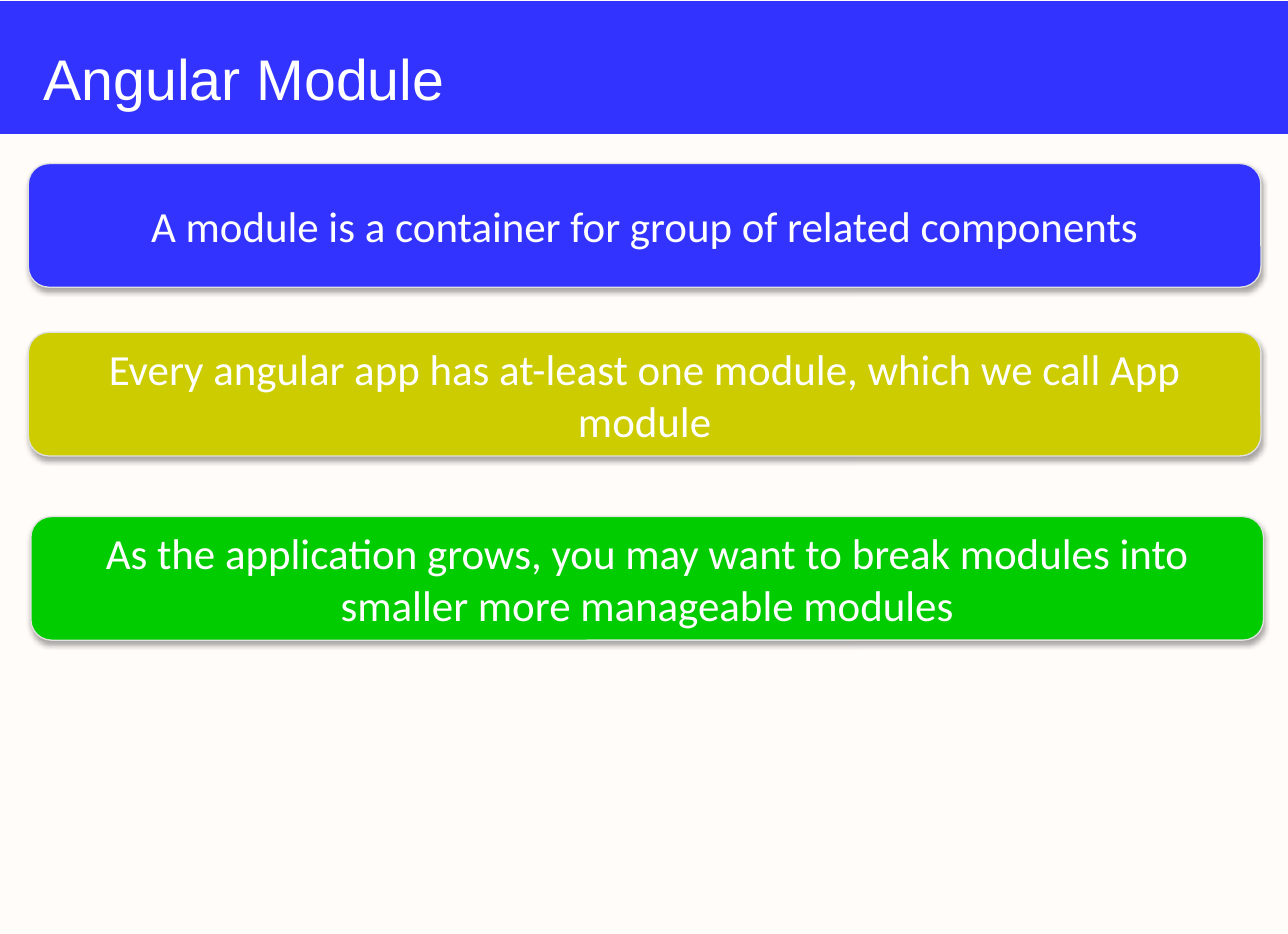
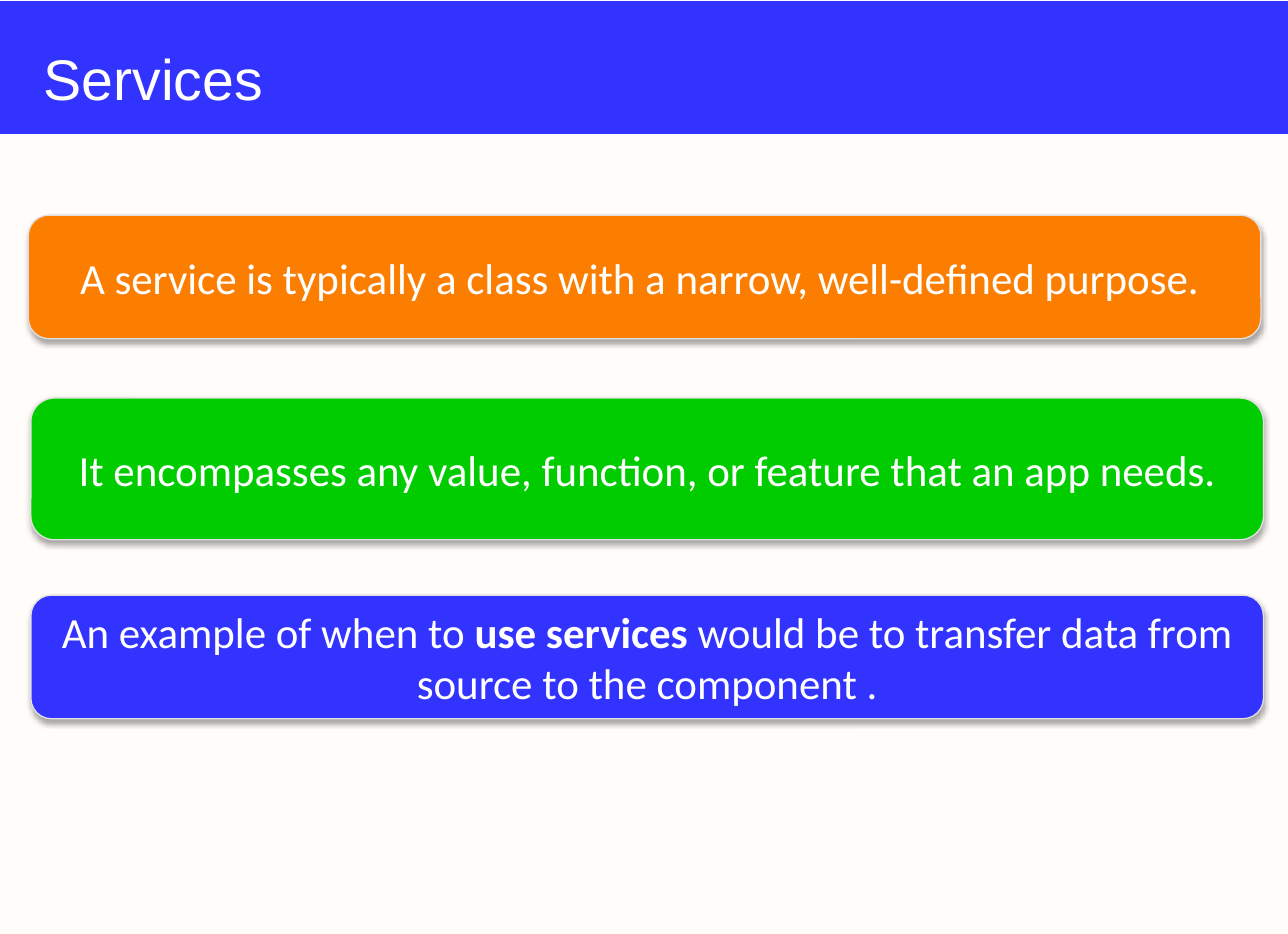
import pptx
import pptx.dml.color
import pptx.enum.shapes
import pptx.enum.text
import pptx.oxml
import pptx.oxml.ns
import pptx.util

Inches = pptx.util.Inches
Pt = pptx.util.Pt
RGBColor = pptx.dml.color.RGBColor
MSO_SHAPE = pptx.enum.shapes.MSO_SHAPE
PP_ALIGN = pptx.enum.text.PP_ALIGN
MSO_ANCHOR = pptx.enum.text.MSO_ANCHOR

CREAM = RGBColor(0xFF, 0xFC, 0xF9)
BLUE = RGBColor(0x33, 0x33, 0xFF)
OLIVE = RGBColor(0xCC, 0xCC, 0x00)
GREEN = RGBColor(0x00, 0xCC, 0x00)
ORANGE = RGBColor(0xFC, 0x7E, 0x00)
PALE_GREY = RGBColor(0xE1, 0xE1, 0xE1)
WHITE = RGBColor(0xFF, 0xFF, 0xFF)

SLIDE_WIDTH, SLIDE_HEIGHT = 10, 7.25
CARD_WIDTH, CARD_HEIGHT = 9.57, 0.96
LEFT, INDENTED_LEFT = 0.22, 0.24

CARD_SHADOW = (
    f'<a:effectLst {pptx.oxml.ns.nsdecls("a")}>'
    '<a:outerShdw blurRad="40000" dist="23000" dir="5400000" rotWithShape="0">'
    '<a:srgbClr val="000000"><a:alpha val="35000"/></a:srgbClr>'
    '</a:outerShdw></a:effectLst>'
)


def write_text(frame, runs, font, size, align=PP_ALIGN.LEFT, anchor=MSO_ANCHOR.MIDDLE):
    """Fill a text frame with one paragraph of (text, bold) runs."""
    frame.word_wrap = True
    frame.vertical_anchor = anchor
    paragraph = frame.paragraphs[0]
    paragraph.alignment = align
    for text, bold in runs:
        run = paragraph.add_run()
        run.text = text
        run.font.name = font
        run.font.size = Pt(size)
        run.font.bold = bold
        run.font.color.rgb = WHITE


def add_panel(slide, preset, box, color):
    panel = slide.shapes.add_shape(preset, *map(Inches, box))
    panel.shadow.inherit = False
    panel.fill.solid()
    panel.fill.fore_color.rgb = color
    return panel


def add_title_band(slide, title, box):
    left, top, width, height = box
    band = add_panel(slide, MSO_SHAPE.RECTANGLE, box, BLUE)
    band.line.fill.background()
    heading = slide.shapes.add_textbox(
        Inches(left + 0.24), Inches(top + 0.26), Inches(width - 0.43), Inches(height - 0.43))
    heading.text_frame.margin_top = heading.text_frame.margin_bottom = 0
    write_text(heading.text_frame, [(title, False)], "Arial", 32, anchor=MSO_ANCHOR.BOTTOM)


def add_card(slide, runs, color, box):
    card = add_panel(slide, MSO_SHAPE.ROUNDED_RECTANGLE, box, color)
    card.line.color.rgb = PALE_GREY
    card.line.width = Pt(0.75)
    properties = card._element.spPr
    properties.remove(properties.find(pptx.oxml.ns.qn("a:effectLst")))
    properties.append(pptx.oxml.parse_xml(CARD_SHADOW))
    write_text(card.text_frame, runs, "Calibri", 24, align=PP_ALIGN.CENTER)


def add_card_slide(deck, title, cards):
    """Add a titled slide; each card is (left, top, height, color, runs)."""
    slide = deck.slides.add_slide(deck.slide_layouts[6])
    slide.background.fill.solid()
    slide.background.fill.fore_color.rgb = CREAM
    add_title_band(slide, title, (0, 0.01, SLIDE_WIDTH, 1.03))
    for left, top, height, color, runs in cards:
        add_card(slide, runs, color, (left, top, CARD_WIDTH, height))


def main():
    deck = pptx.Presentation()
    deck.slide_width = Inches(SLIDE_WIDTH)
    deck.slide_height = Inches(SLIDE_HEIGHT)
    add_card_slide(deck, "Angular Module", [
        (LEFT, 1.27, CARD_HEIGHT, BLUE,
         [("A module is a container for group of related components", False)]),
        (LEFT, 2.58, CARD_HEIGHT, OLIVE,
         [("Every angular app has at-least one module, which we call App module", False)]),
        (INDENTED_LEFT, 4.01, CARD_HEIGHT, GREEN,
         [("As the application grows, you may want to break modules into "
           "smaller more manageable modules", False)]),
    ])
    add_card_slide(deck, "Services", [
        (LEFT, 1.67, CARD_HEIGHT, ORANGE,
         [("A service is typically a class with a narrow, well-defined purpose. ", False)]),
        (INDENTED_LEFT, 3.09, 1.1, GREEN,
         [("It encompasses any value, function, or feature that an app needs.", False)]),
        (INDENTED_LEFT, 4.62, CARD_HEIGHT, BLUE,
         [("An example of when to ", False), ("use services", True),
          (" would be to transfer data from source to the component .", False)]),
    ])
    deck.save("out.pptx")


if __name__ == "__main__":
    main()
